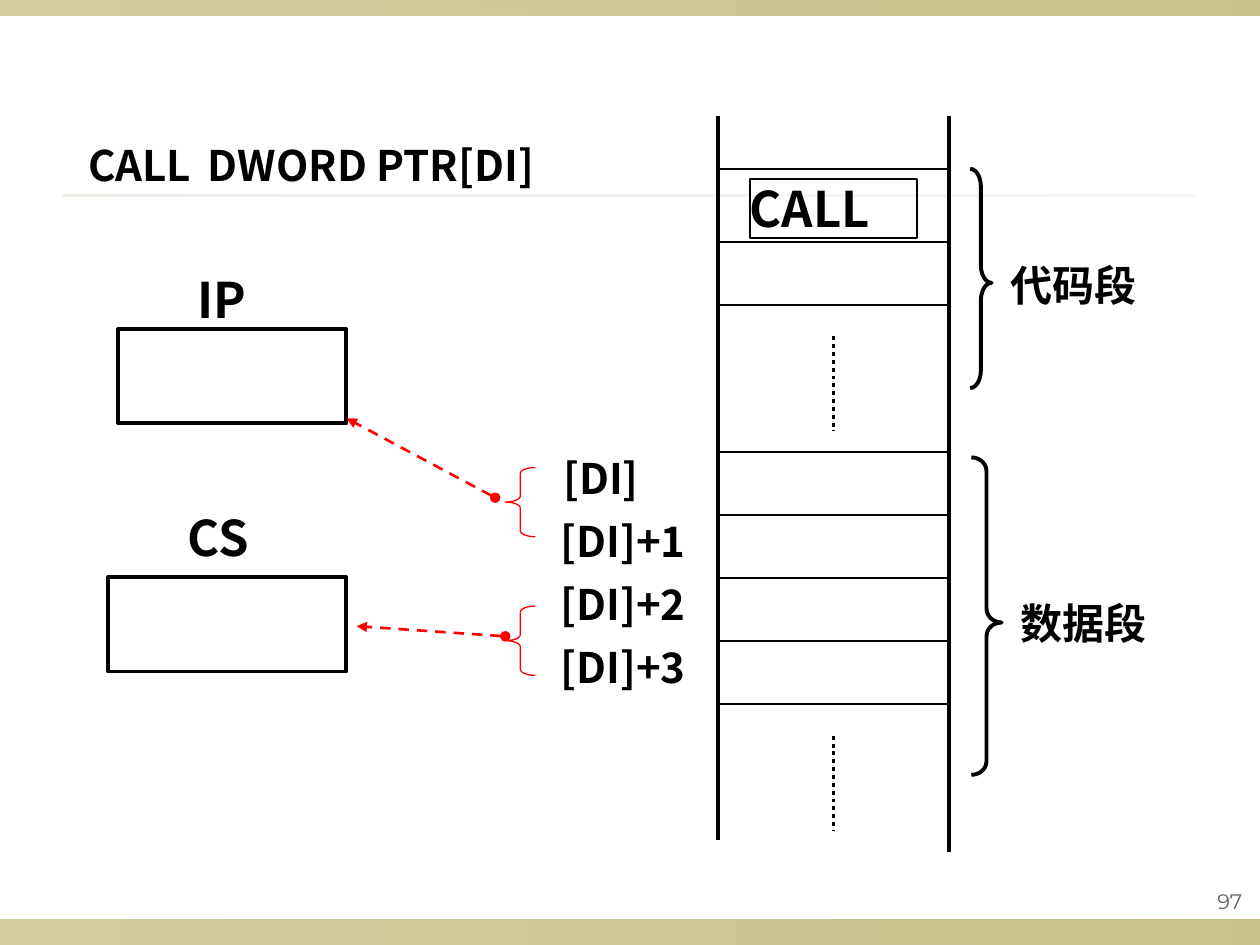
"""Draw how CALL DWORD PTR[DI] loads IP and CS from the data segment."""
from dataclasses import dataclass
from typing import Optional

import pptx
import pptx.dml.color
import pptx.enum.dml
import pptx.enum.shapes
import pptx.enum.text
import pptx.oxml.ns
import pptx.util
from lxml import etree

COLUMNS, ROWS = 100, 75
WIDTH, HEIGHT = pptx.util.Inches(10), pptx.util.Inches(7.5)
BLACK, RED, GREY, OLIVE, SAND = "000000", "FF0000", "636363", "918415", "DCD9CC"
SHAPE = pptx.enum.shapes.MSO_SHAPE
DASH = pptx.enum.dml.MSO_LINE
ALIGN = pptx.enum.text.PP_ALIGN
ANCHOR = pptx.enum.text.MSO_ANCHOR


@dataclass
class Area:
    """A rectangle in grid columns and rows."""
    left: float
    top: float
    width: float
    height: float

    def emu(self) -> tuple:
        """Return left, top, width and height in slide units."""
        return x(self.left), y(self.top), x(self.width), y(self.height)


@dataclass
class Band:
    """A decorative strip whose opacity changes along its length."""
    area: Area
    colour: str
    start: int
    end: int


@dataclass
class Brace:
    """A curly bracket with its curl size and the place of its tip."""
    kind: int
    area: Area
    curl: float
    tip: float
    colour: str
    weight: float


@dataclass
class Label:
    """A bold caption, with an optional indent in columns."""
    text: str
    area: Area
    size: float = 24
    indent: float = 0


def x(columns: float) -> int:
    """Convert grid columns to slide units."""
    return round(WIDTH * columns / COLUMNS)


def y(rows: float) -> int:
    """Convert grid rows to slide units."""
    return round(HEIGHT * rows / ROWS)


def rgb(colour: str) -> pptx.dml.color.RGBColor:
    """Turn a hex string into a colour."""
    return pptx.dml.color.RGBColor.from_string(colour)


def add_child(parent, tag: str, **attributes: str):
    """Append a DrawingML element."""
    return etree.SubElement(parent, pptx.oxml.ns.qn(tag), attributes)


def draw_shape(slide, kind: int, area: Area, colour: str, weight: float):
    """Draw an unfilled outline shape."""
    shape = slide.shapes.add_shape(kind, *area.emu())
    shape.shadow.inherit = False
    shape.fill.background()
    shape.line.color.rgb = rgb(colour)
    shape.line.width = pptx.util.Pt(weight)
    return shape


def draw_band(slide, band: Band) -> None:
    """Draw a strip with a horizontal opacity gradient."""
    shape = draw_shape(slide, SHAPE.RECTANGLE, band.area, band.colour, 1)
    shape.line.fill.background()
    shape.fill.gradient()
    shape.fill.gradient_angle = 0
    for stop in shape.fill.gradient_stops:
        stop.color.rgb = rgb(band.colour)
    stops = shape._element.spPr.iter(pptx.oxml.ns.qn("a:srgbClr"))
    for colour, opacity in zip(list(stops), (band.start, band.end)):
        add_child(colour, "a:alpha", val=str(opacity * 1000))


def draw_brace(slide, brace: Brace) -> None:
    """Draw a curly bracket."""
    shape = draw_shape(slide, brace.kind, brace.area, brace.colour, brace.weight)
    shape.adjustments[0] = brace.curl
    shape.adjustments[1] = brace.tip


def draw_line(slide, start: tuple, end: tuple, weight: float, colour: str = BLACK,
              dash: Optional[int] = None, arrow: bool = False) -> None:
    """Draw a straight line, optionally dashed or with an oval start and arrow end."""
    line = slide.shapes.add_connector(
        pptx.enum.shapes.MSO_CONNECTOR.STRAIGHT,
        x(start[0]), y(start[1]), x(end[0]), y(end[1]))
    line.line.color.rgb = rgb(colour)
    line.line.width = pptx.util.Pt(weight)
    if dash is not None:
        line.line.dash_style = dash
    if arrow:
        outline = line.line._get_or_add_ln()
        add_child(outline, "a:headEnd", type="oval")
        add_child(outline, "a:tailEnd", type="triangle")
    add_child(line._element.spPr, "a:effectLst")


def write(slide, text: str, area: Area, *, size: float = 24, font: str = "Noto Sans CJK SC",
          colour: str = BLACK, bold: bool = True, align: int = ALIGN.LEFT,
          anchor: int = ANCHOR.TOP, inset: float = 0, indent: float = 0,
          tab: Optional[float] = None, wrap: bool = True):
    """Add a text box with one formatted paragraph."""
    box = slide.shapes.add_textbox(*area.emu())
    frame = box.text_frame
    frame.word_wrap = wrap
    frame.vertical_anchor = anchor
    frame.margin_left = x(inset + indent)
    frame.margin_right = x(inset)
    frame.margin_top = frame.margin_bottom = y(inset)
    paragraph = frame.paragraphs[0]
    paragraph.alignment = align
    if tab is not None:
        tabs = add_child(paragraph._p.get_or_add_pPr(), "a:tabLst")
        add_child(tabs, "a:tab", pos=str(x(tab)), algn="l")
    run = paragraph.add_run()
    run.text = text
    run.font.size = pptx.util.Pt(size)
    run.font.name = font
    run.font.bold = bold
    run.font.color.rgb = rgb(colour)
    add_child(run._r.get_or_add_rPr(), "a:ea", typeface=font)
    return box


def draw_memory(slide) -> None:
    """Draw the memory column with its cells and segment braces."""
    left, right, top = 57, 75.3, 9.2
    middle = (left + right) / 2
    for side, bottom in ((left, 66.7), (right, 67.6)):
        draw_line(slide, (side, top), (side, bottom), 2.25)
    data_cells = [35.9 + 5 * cell for cell in range(5)]
    for row in [13.4, 19.2, 24.2] + data_cells:
        draw_line(slide, (left, row), (right, row), 1)
    for row in (26.7, 58.4):
        draw_line(slide, (middle, row), (middle, row + 7.5), 2.25, dash=DASH.ROUND_DOT)
    opcode = write(slide, "CALL", Area(59.5, 14.2, 13.3, 4.7), size=28)
    opcode.line.color.rgb = rgb(BLACK)
    opcode.line.width = pptx.util.Pt(1)
    for area, curl in ((Area(77, 13.4, 1.7, 17.4), 0.82), (Area(77.1, 36.3, 2.4, 25.2), 0.45)):
        draw_brace(slide, Brace(SHAPE.RIGHT_BRACE, area, curl, 0.52, BLACK, 2.25))
    for offset in range(4):
        name = f"[DI]+{offset}" if offset else "[DI]"
        shift = 0 if offset else 0.2
        write(slide, name, Area(44.5 + shift, data_cells[offset], 12, 4))


def main() -> None:
    """Build and save the slide."""
    deck = pptx.Presentation()
    deck.slide_width, deck.slide_height = WIDTH, HEIGHT
    slide = deck.slides.add_slide(deck.slide_layouts[6])
    for band in (Band(Area(0, 73, COLUMNS, 2), OLIVE, 40, 50),
                 Band(Area(0, 0, COLUMNS, 1.2), OLIVE, 40, 50),
                 Band(Area(5, 15.4, 90, 0.2), SAND, 50, 20)):
        draw_band(slide, band)
    write(slide, "97", Area(58.3, 70, 40.8, 3.1), size=12, font="Montserrat", colour=GREY,
          bold=False, align=ALIGN.RIGHT, anchor=ANCHOR.MIDDLE, inset=0.5)
    draw_memory(slide)
    for register in (Area(9.4, 26.1, 18.1, 7.5), Area(8.6, 45.8, 18.9, 7.5)):
        draw_shape(slide, SHAPE.RECTANGLE, register, BLACK, 2.25)
    for label in (Label("IP", Area(14.9, 21.4, 6.3, 9.3), 28, 0.8),
                  Label("CS", Area(14.1, 40.3, 7, 4.7), 28, 0.8),
                  Label("代码段", Area(80.2, 20.6, 14.2, 4)),
                  Label("数据段", Area(81, 47.4, 14.2, 4))):
        write(slide, label.text, label.area, size=label.size, indent=label.indent)
    for start, end in (((39.3, 39.5), (27.5, 33.2)), ((40.1, 50.5), (28.3, 49.7))):
        draw_line(slide, start, end, 1.5, RED, DASH.DASH, arrow=True)
    write(slide, "CALL\tDWORD PTR[DI]", Area(7, 11.1, 40, 4), tab=9.5, wrap=False)
    for row in (48.1, 37.1):
        draw_brace(slide, Brace(SHAPE.LEFT_BRACE, Area(40.1, row, 2.4, 5.5), 0.2, 0.5, RED, 0.75))
    deck.save("out.pptx")


if __name__ == "__main__":
    main()
